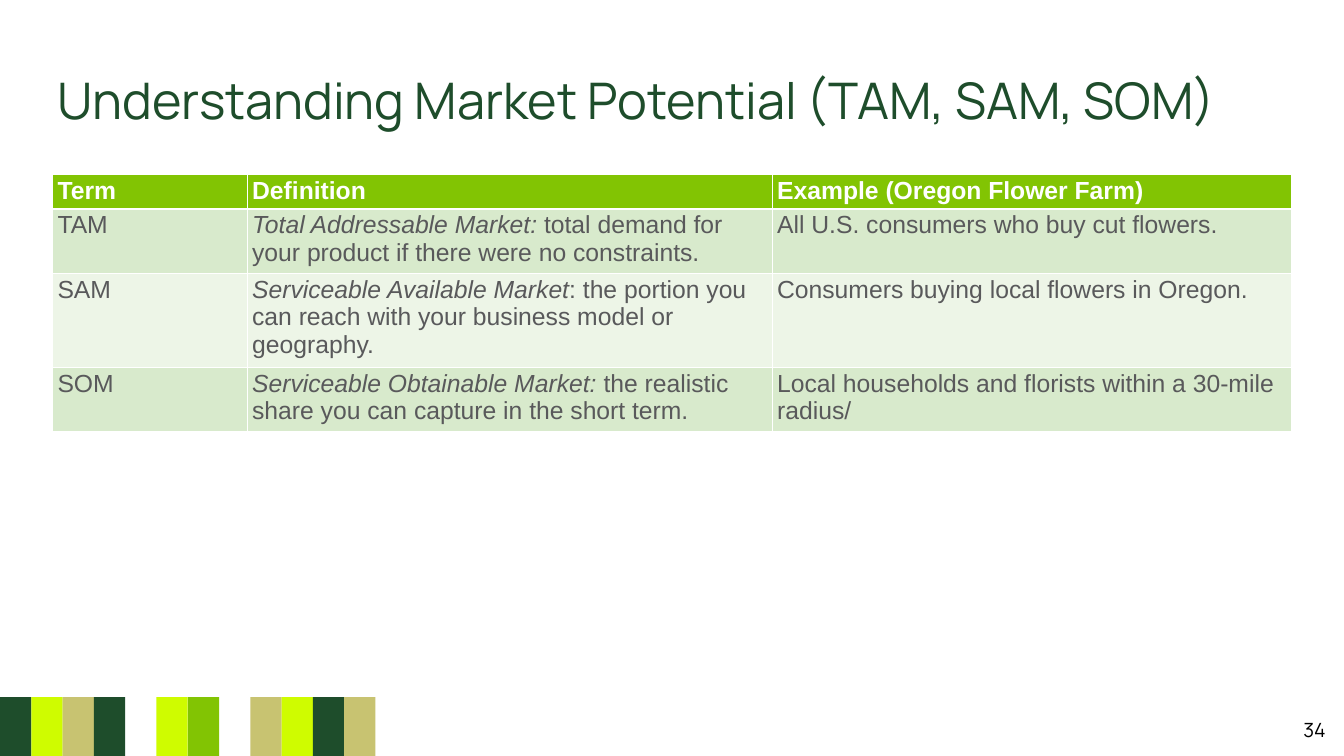
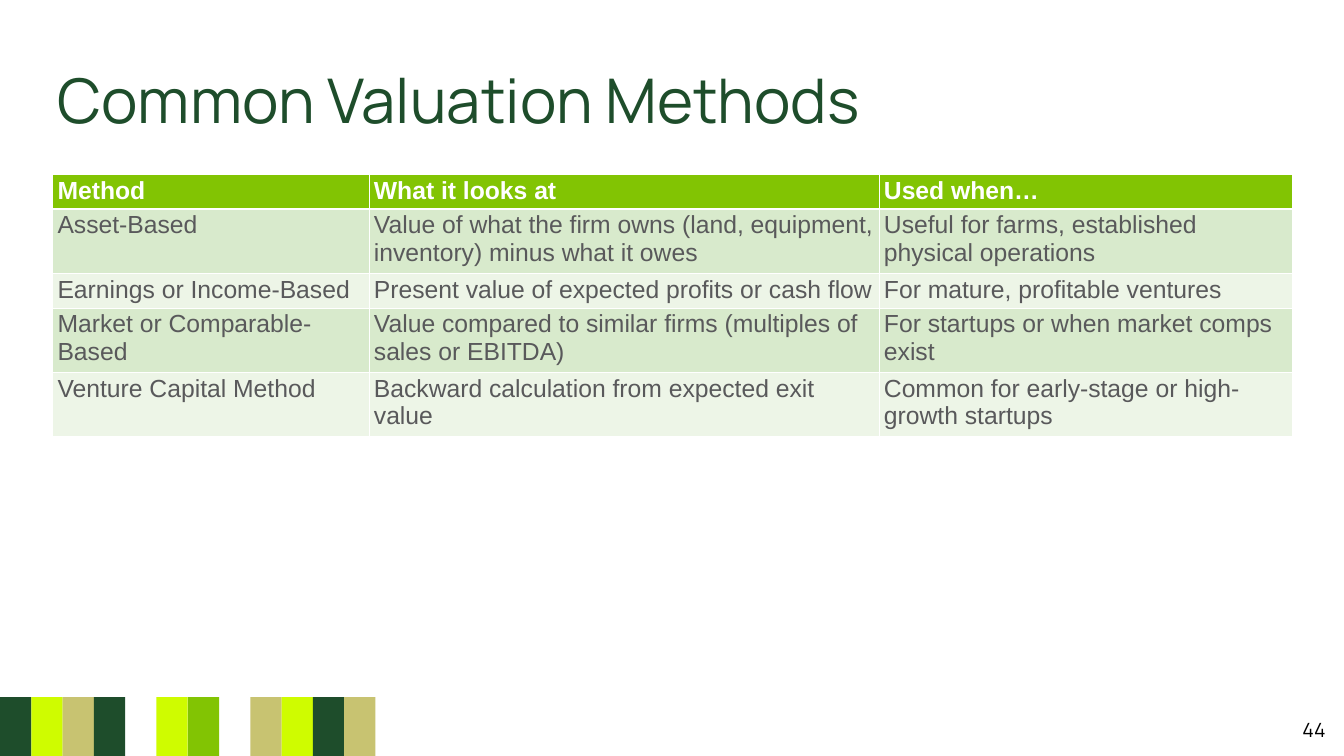
from dataclasses import dataclass
from typing import NamedTuple

from lxml.etree import SubElement as Sub
from pptx import Presentation
from pptx.dml.color import RGBColor as Rgb
from pptx.enum.shapes import MSO_SHAPE as Shape
from pptx.enum.text import MSO_ANCHOR as Anchor, PP_ALIGN as Align
from pptx.oxml.ns import qn
from pptx.util import Pt

COLORS = {
    "forest": "1E4D2B",
    "lime": "CFFC00",
    "sand": "C8C371",
    "green": "82C403",
    "mint": "D8EACC",
    "pale": "EDF5E7",
    "gray": "59595B",
    "white": "FFFFFF",
    "black": "000000",
}
WIDTH, HEIGHT = 1920, 1080
LEFT, SPAN = 75, 1770
TITLE_MID, TABLE_TOP = 148, 249
ROW = 30
HEAD_FONT, BODY_FONT = "Manrope", "Arial"
BODY_SIZE = 35.3
BAND_W, BAND_H = 44.7, 84
BANDS = ("forest", "lime", "sand", "forest", None, "lime", "green",
         None, "sand", "lime", "forest", "sand")


class Box(NamedTuple):
    left: float
    top: float
    width: float
    height: float


class Entry(NamedTuple):
    text: str
    lead: str = ""  # set in italics before the text


@dataclass
class Page:
    title: str
    size: float
    number: str
    cols: tuple[float, ...]
    heads: tuple[str, ...]
    rows: list[tuple[Entry, ...]]


PAGES = [
    Page(
        "Understanding Market Potential (TAM, SAM, SOM)", 72, "34",
        (278, 750, 742),
        ("Term", "Definition", "Example (Oregon Flower Farm)"),
        [
            (Entry("TAM"),
             Entry("total demand for your product if there were no constraints.",
                   "Total Addressable Market: "),
             Entry("All U.S. consumers who buy cut flowers.")),
            (Entry("SAM"),
             Entry(": the portion you can reach with your business model or geography.",
                   "Serviceable Available Market"),
             Entry("Consumers buying local flowers in Oregon.")),
            (Entry("SOM"),
             Entry(" the realistic share you can capture in the short term.",
                   "Serviceable Obtainable Market:"),
             Entry("Local households and florists within a 30-mile radius/")),
        ],
    ),
    Page(
        "Common Valuation Methods", 88, "44",
        (452, 728.6, 590.4),
        ("Method", "What it looks at", "Used when…"),
        [
            (Entry("Asset-Based"),
             Entry("Value of what the firm owns (land, equipment, inventory) minus what it owes"),
             Entry("Useful for farms, established physical operations")),
            (Entry("Earnings or Income-Based"),
             Entry("Present value of expected profits or cash flow"),
             Entry("For mature, profitable ventures")),
            (Entry("Market or Comparable-Based"),
             Entry("Value compared to similar firms (multiples of sales or EBITDA)"),
             Entry("For startups or when market comps exist")),
            (Entry("Venture Capital Method"),
             Entry("Backward calculation from expected exit value"),
             Entry("Common for early-stage or high-growth startups")),
        ],
    ),
]


def rgb(name: str) -> Rgb:
    return Rgb.from_string(COLORS[name])


def add_run(para, text: str, face: str, size: float, color: str,
            bold: bool = False, italic: bool = False) -> None:
    run = para.add_run()
    run.text = text
    font = run.font
    font.name, font.size = face, Pt(size)
    font.bold, font.italic = bold, italic
    font.color.rgb = rgb(color)


def add_label(slide, box: Box, text: str, size: float, color: str,
              align: Align = Align.LEFT, spacing: float = 1.0) -> None:
    frame = slide.shapes.add_textbox(*map(Pt, box)).text_frame
    frame.word_wrap = True
    frame.vertical_anchor = Anchor.MIDDLE
    frame.margin_top = frame.margin_bottom = Pt(7.2)
    para = frame.paragraphs[0]
    para.alignment, para.line_spacing = align, spacing
    add_run(para, text, HEAD_FONT, size, color)


def add_bands(slide) -> None:
    for i, color in enumerate(BANDS):
        if color is None:
            continue
        box = Box(i * BAND_W, HEIGHT - BAND_H, BAND_W, BAND_H)
        band = slide.shapes.add_shape(Shape.RECTANGLE, *map(Pt, box))
        band.shadow.inherit = False
        band.fill.solid()
        band.fill.fore_color.rgb = rgb(color)
        band.line.fill.background()


def style_cell(cell, fill: str, top: float, base: float) -> None:
    """Draw white borders, then the fill that must follow them in the XML."""
    props = cell._tc.get_or_add_tcPr()
    for side, width in (("L", 1), ("R", 1), ("T", top), ("B", base)):
        line = Sub(props, qn(f"a:ln{side}"), w=str(Pt(width)))
        paint = Sub(line, qn("a:solidFill"))
        Sub(paint, qn("a:srgbClr"), val=COLORS["white"])
    cell.fill.solid()
    cell.fill.fore_color.rgb = rgb(fill)


def add_grid(slide, page: Page) -> None:
    count = len(page.rows) + 1
    box = Box(LEFT, TABLE_TOP, sum(page.cols), count * ROW)
    table = slide.shapes.add_table(count, len(page.cols), *map(Pt, box)).table
    for col, width in zip(table.columns, page.cols):
        col.width = Pt(width)
    for cell, text in zip(table.rows[0].cells, page.heads):
        style_cell(cell, "green", 1, 3)
        add_run(cell.text_frame.paragraphs[0], text, BODY_FONT, BODY_SIZE,
                "white", bold=True)
    for r, entries in enumerate(page.rows, 1):
        for cell, entry in zip(table.rows[r].cells, entries):
            style_cell(cell, "mint" if r % 2 else "pale", 3 if r == 1 else 1, 1)
            para = cell.text_frame.paragraphs[0]
            if entry.lead:
                add_run(para, entry.lead, BODY_FONT, BODY_SIZE, "gray", italic=True)
            add_run(para, entry.text, BODY_FONT, BODY_SIZE, "gray")


def add_page(deck, page: Page) -> None:
    slide = deck.slides.add_slide(deck.slide_layouts[6])
    add_bands(slide)
    tall = page.size * 1.4
    add_label(slide, Box(LEFT, TITLE_MID - tall / 2, SPAN, tall),
              page.title, page.size, "forest", spacing=0.9)
    add_grid(slide, page)
    add_label(slide, Box(1828, 1025, 73, 35), page.number, 28, "black", Align.RIGHT)


def main() -> None:
    deck = Presentation()
    deck.slide_width, deck.slide_height = Pt(WIDTH), Pt(HEIGHT)
    for page in PAGES:
        add_page(deck, page)
    deck.save("out.pptx")


if __name__ == "__main__":
    main()
